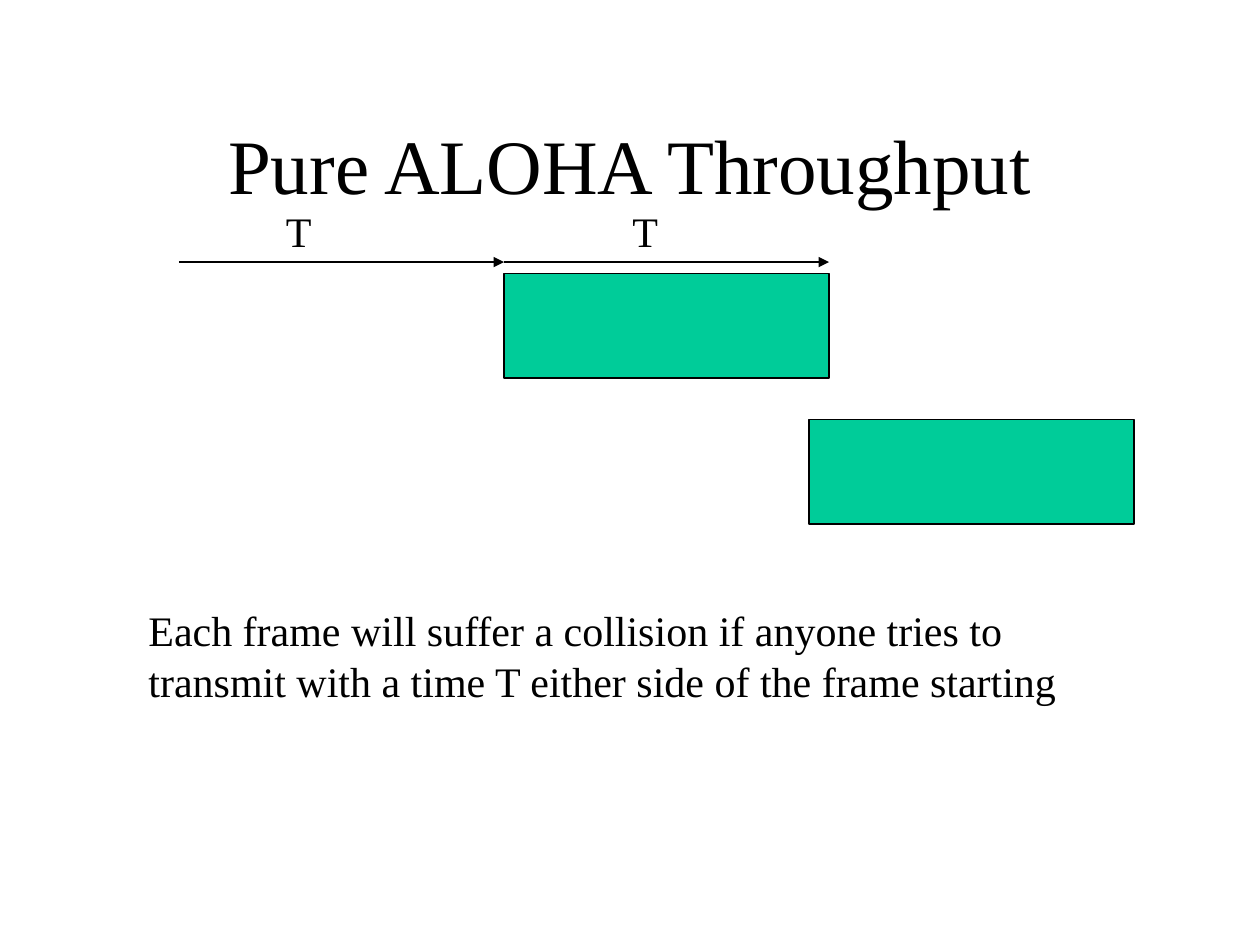
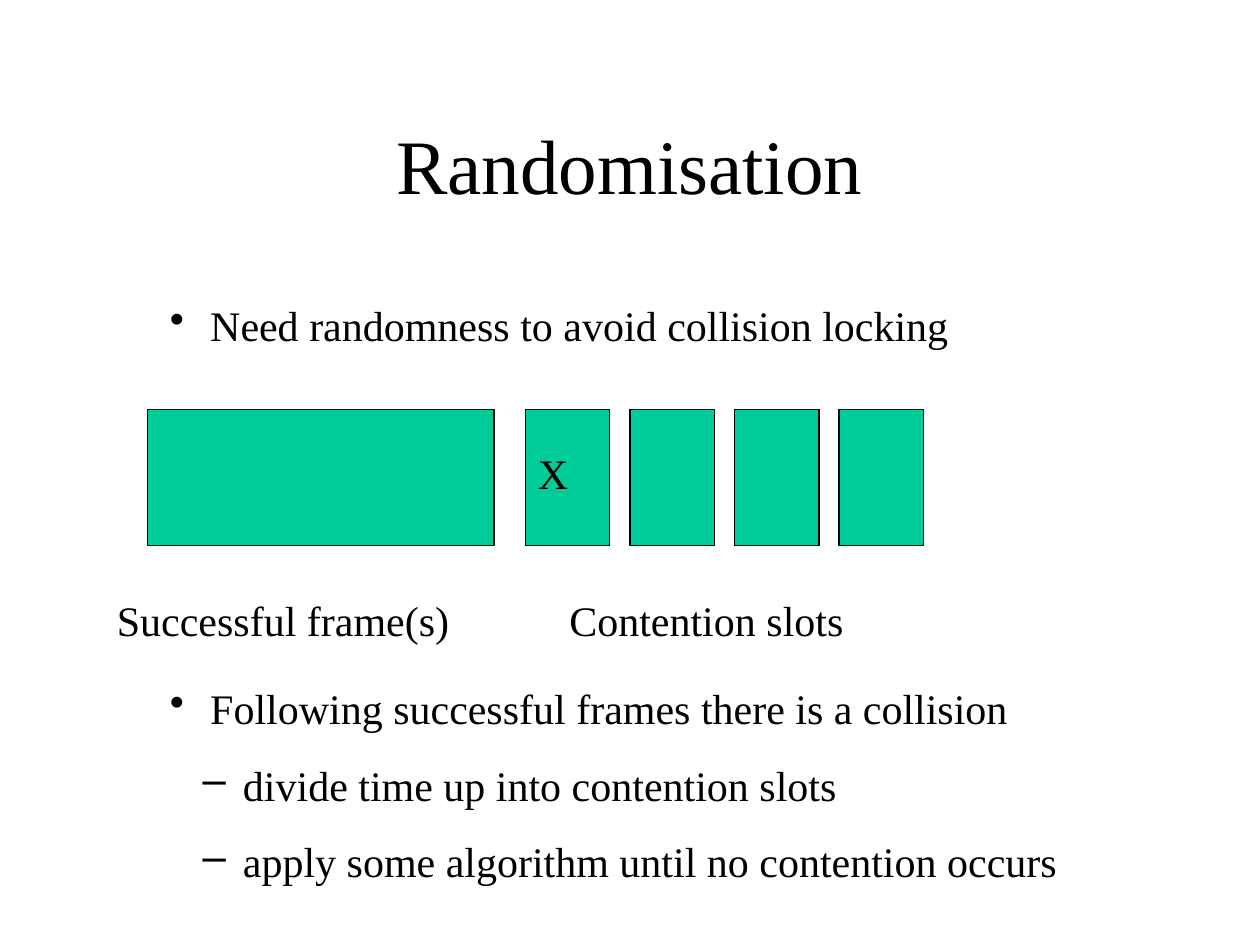
from lxml.etree import SubElement
from pptx import Presentation
from pptx.dml.color import RGBColor
from pptx.enum.shapes import MSO_CONNECTOR as Connector, MSO_SHAPE as Shape
from pptx.enum.text import MSO_ANCHOR as Anchor, MSO_AUTO_SIZE as AutoSize, PP_ALIGN as Align
from pptx.oxml.ns import qn
from pptx.util import Inches, Pt

BLACK = RGBColor(0x00, 0x00, 0x00)
WHITE = RGBColor(0xFF, 0xFF, 0xFF)
GREEN = RGBColor(0x00, 0xCC, 0x99)
FONT = "Times New Roman"
TITLE_SIZE = 44
BODY_SIZE = 24
LINE_WIDTH = Pt(0.75)
PARAGRAPH_GAP = 15
HANGING = 0.32


def add_slide(presentation, title):
    """Add a white blank slide with a centred title."""
    slide = presentation.slides.add_slide(presentation.slide_layouts[6])
    slide.background.fill.solid()
    slide.background.fill.fore_color.rgb = WHITE
    frame = add_frame(slide, 0.75, 0.67, 8.5, 1.25)
    frame.vertical_anchor = Anchor.MIDDLE
    paragraph = frame.paragraphs[0]
    paragraph.alignment = Align.CENTER
    add_run(paragraph, title, TITLE_SIZE)
    return slide


def add_frame(slide, left, top, width, height):
    """Add a wrapping text box and return its text frame."""
    box = slide.shapes.add_textbox(Inches(left), Inches(top), Inches(width), Inches(height))
    box.text_frame.word_wrap = True
    return box.text_frame


def add_run(paragraph, text, size=BODY_SIZE):
    """Add a black run in the shared font."""
    run = paragraph.add_run()
    run.text = text
    run.font.name = FONT
    run.font.size = Pt(size)
    run.font.color.rgb = BLACK


def add_label(slide, text, left, top, width, height=0.5):
    """Add a plain body-size label."""
    frame = add_frame(slide, left, top, width, height)
    frame.auto_size = AutoSize.SHAPE_TO_FIT_TEXT
    paragraph = frame.paragraphs[0]
    paragraph.space_before = Pt(PARAGRAPH_GAP)
    add_run(paragraph, text)


def add_block(slide, left, top, width, height):
    """Add a green outlined rectangle standing for a frame or slot."""
    block = slide.shapes.add_shape(
        Shape.RECTANGLE, Inches(left), Inches(top), Inches(width), Inches(height))
    block.shadow.inherit = False
    block.fill.solid()
    block.fill.fore_color.rgb = GREEN
    block.line.color.rgb = BLACK
    block.line.width = LINE_WIDTH


def add_arrow(slide, left, right, top):
    """Add a horizontal arrow pointing right."""
    arrow = slide.shapes.add_connector(
        Connector.STRAIGHT, Inches(left), Inches(top), Inches(right), Inches(top))
    arrow.line.color.rgb = BLACK
    arrow.line.width = LINE_WIDTH
    SubElement(arrow.line._get_or_add_ln(), qn("a:tailEnd"), type="triangle")
    SubElement(arrow._element.spPr, qn("a:effectLst"))


def add_bullet(paragraph, text, level=0, gap=PARAGRAPH_GAP):
    """Fill a paragraph as a bullet of the given level."""
    paragraph.level = level
    paragraph.space_before = Pt(gap)
    properties = paragraph._p.get_or_add_pPr()
    properties.set("marL", str(Inches(HANGING + 0.26 * level)))
    properties.set("indent", str(-Inches(HANGING)))
    color = SubElement(properties, qn("a:buClr"))
    SubElement(color, qn("a:srgbClr"), val=str(BLACK))
    SubElement(properties, qn("a:buChar"), char="•–"[level])
    add_run(paragraph, text)


def build_throughput(presentation):
    """Show two overlapping frames and the vulnerable time around one."""
    slide = add_slide(presentation, "Pure ALOHA Throughput")
    frame_time = 2.58
    frame_start = 4
    for left, top in ((frame_start, 2.17), (6.42, 3.33)):
        add_block(slide, left, top, frame_time, 0.83)
    for start, label_left in ((frame_start, 4.92), (frame_start - frame_time, 2.17)):
        add_arrow(slide, start, start + frame_time, 2.08)
        add_label(slide, "T", label_left, 1.58, 0.75)
    add_label(slide, "Each frame will suffer a collision if anyone tries to transmit "
              "with a time T either side of the frame starting", 1.08, 4.75, 7.83, 0.9)


def build_randomisation(presentation):
    """Show contention slots following a successful frame."""
    slide = add_slide(presentation, "Randomisation")
    frame = add_frame(slide, 1.25, 2.33, 7.5, 4.76)
    diagram_gap = 190
    add_bullet(frame.paragraphs[0], "Need randomness to avoid collision locking")
    add_bullet(frame.add_paragraph(), "Following successful frames there is a collision",
               gap=diagram_gap)
    for text in ("divide time up into contention slots",
                 "apply some algorithm until no contention occurs"):
        add_bullet(frame.add_paragraph(), text, level=1)

    blocks_top, blocks_height = 3.25, 1.08
    slots_left, slot_width, slot_pitch = 4.17, 0.67, 0.83
    add_block(slide, 1.17, blocks_top, 2.75, blocks_height)
    for slot in range(4):
        add_block(slide, slots_left + slot * slot_pitch, blocks_top, slot_width, blocks_height)
    add_label(slide, "Successful frame(s)", 0.83, 4.67, 3)
    add_label(slide, "Contention slots", 4.42, 4.67, 2.75)
    add_label(slide, "X", slots_left, 3.5, slot_width)


def main():
    """Build and save the presentation."""
    presentation = Presentation()
    presentation.slide_width = Inches(10)
    presentation.slide_height = Inches(7.5)
    build_throughput(presentation)
    build_randomisation(presentation)
    presentation.save("out.pptx")


if __name__ == "__main__":
    main()
